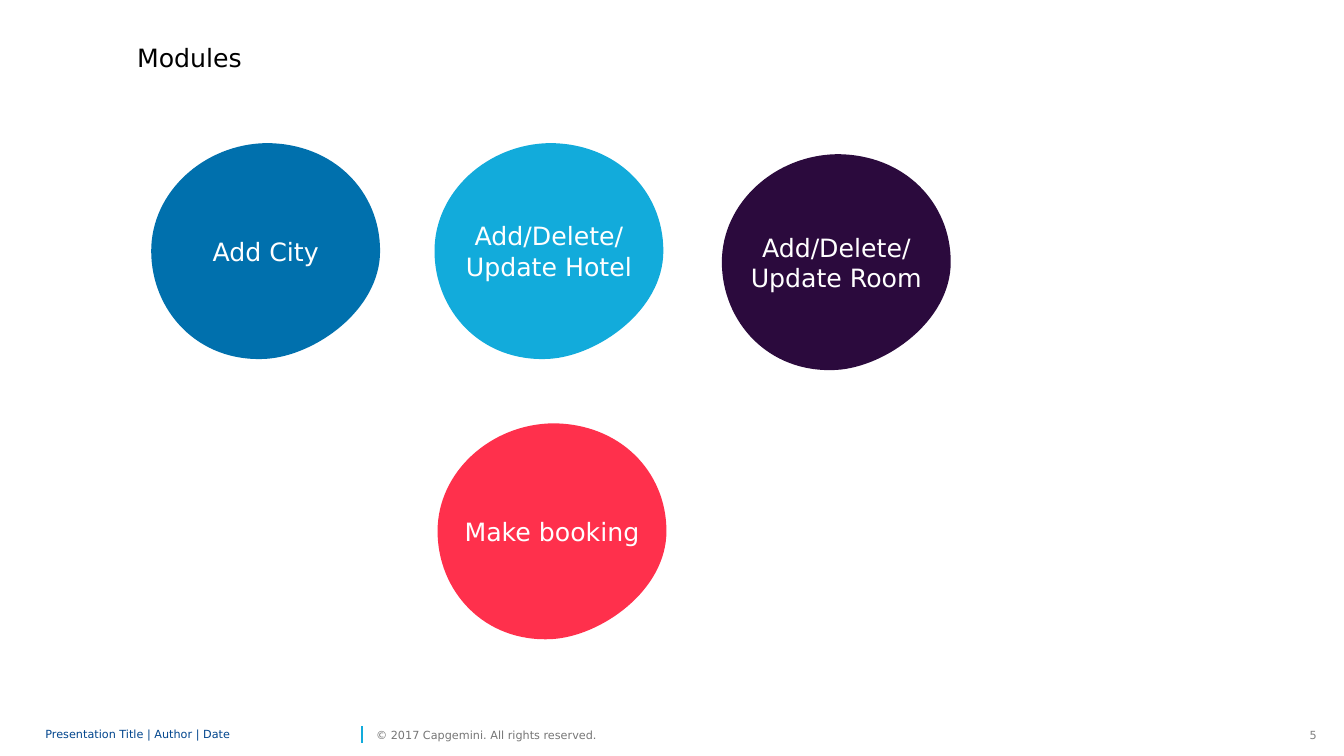
from lxml import etree
from pptx import Presentation
from pptx.dml.color import RGBColor
from pptx.enum import shapes, text
from pptx.oxml.ns import qn
from pptx.util import Inches, Pt

THEME = {
    "font": "DejaVu Sans",
    "body": 18,
    "small": 8,
    "black": "000000",
    "white": "FFFFFF",
    "blue": "0070AD",
    "cyan": "12ABDB",
    "violet": "2B0A3D",
    "red": "FF304C",
    "navy": "00458D",
    "grey": "767676",
    "page": "808080",
}

BLOB_START = (0, 1.07)
BLOB_CURVES = [
    ((0, 0.48), (0.53, 0.01), (1.14, 0)),
    ((1.81, 0), (2.27, 0.48), (2.27, 1.07)),
    ((2.27, 1.66), (1.62, 2.11), (1.14, 2.14)),
    ((0.46, 2.18), (0, 1.66), (0, 1.07)),
]


def write(sp, words, size, color, align, anchor):
    tf = sp.text_frame
    tf.text = words
    tf.word_wrap = True
    tf.auto_size = text.MSO_AUTO_SIZE.NONE
    tf.vertical_anchor = anchor
    p = tf.paragraphs[0]
    p.alignment = align
    r = p.runs[0]
    r.font.name = THEME["font"]
    r.font.size = Pt(THEME[size])
    r.font.color.rgb = RGBColor.from_string(THEME[color])
    return tf


def add_blob(s, left, top):
    x, y = BLOB_START
    builder = s.shapes.build_freeform(Inches(left + x), Inches(top + y))
    corners = [(Inches(left + x), Inches(top + y)) for _, _, (x, y) in BLOB_CURVES]
    builder.add_line_segments(corners, close=True)
    sp = builder.convert_to_shape()
    segments = list(sp._element.spPr.iter(qn("a:lnTo")))
    for segment, curve in zip(segments, BLOB_CURVES):
        bezier = etree.Element(qn("a:cubicBezTo"))
        for x, y in curve:
            etree.SubElement(bezier, qn("a:pt"), x=str(Inches(x)), y=str(Inches(y)))
        segment.getparent().replace(segment, bezier)
    return sp


prs = Presentation()
prs.slide_width = Inches(13.33)
prs.slide_height = Inches(7.5)
s = prs.slides.add_slide(prs.slide_layouts[5])

title = s.shapes.title
title.left, title.top, title.width, title.height = Inches(1.26), Inches(0.37), Inches(6.27), Inches(0.4)
write(title, "Modules", "body", "black", text.PP_ALIGN.LEFT, text.MSO_ANCHOR.TOP)

modules = [
    ("Add City", 1.5, 1.42, "blue"),
    ("Add/Delete/Update Hotel", 4.31, 1.42, "cyan"),
    ("Add/Delete/Update Room", 7.16, 1.53, "violet"),
    ("Make booking", 4.34, 4.2, "red"),
]
for label, left, top, color in modules:
    sp = add_blob(s, left, top)
    sp.shadow.inherit = False
    sp.fill.solid()
    sp.fill.fore_color.rgb = RGBColor.from_string(THEME[color])
    sp.line.fill.background()
    write(sp, label, "body", "white", text.PP_ALIGN.CENTER, text.MSO_ANCHOR.MIDDLE)

footers = [
    ("Presentation Title | Author | Date", 0.45, 3.09, "navy", text.PP_ALIGN.LEFT, 0.85),
    ("© 2017 Capgemini. All rights reserved.", 3.73, 2.43, "grey", text.PP_ALIGN.LEFT, 1.0),
    ("5", 12.89, 0.17, "page", text.PP_ALIGN.RIGHT, 1.0),
]
for words, left, width, color, align, spacing in footers:
    sp = s.shapes.add_textbox(Inches(left), Inches(7.17), Inches(width), Inches(0.24))
    tf = write(sp, words, "small", color, align, text.MSO_ANCHOR.MIDDLE)
    tf.margin_left = tf.margin_right = tf.margin_top = tf.margin_bottom = 0
    tf.paragraphs[0].line_spacing = spacing

divider = s.shapes.add_connector(
    shapes.MSO_CONNECTOR.STRAIGHT, Inches(3.59), Inches(7.37), Inches(3.59), Inches(7.2)
)
divider.line.color.rgb = RGBColor.from_string(THEME["cyan"])
divider.line.width = Pt(1)
etree.SubElement(divider._element.spPr, qn("a:effectLst"))

prs.save("out.pptx")
